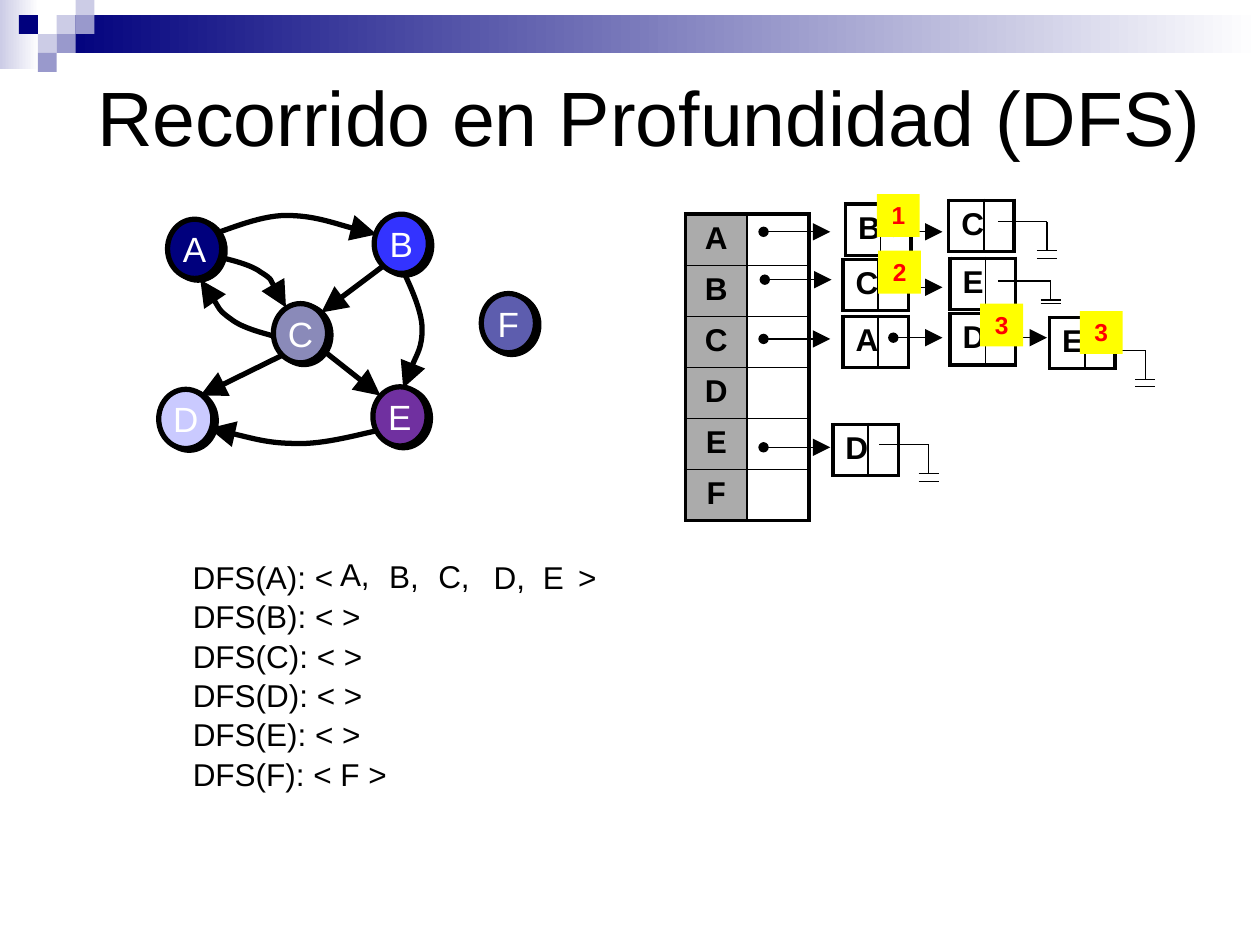
from lxml import etree
from pptx import Presentation
from pptx import util as u
from pptx.dml.color import RGBColor
from pptx.enum import shapes, text
from pptx.oxml.ns import qn

BLACK = RGBColor(0x00, 0x00, 0x00)
WHITE = RGBColor(0xFF, 0xFF, 0xFF)
NAVY = RGBColor(0x00, 0x00, 0x7D)
LILAC = RGBColor(0xCC, 0xCC, 0xE6)
PERIWINKLE = RGBColor(0x99, 0x99, 0xCC)
GRAY = RGBColor(0xAB, 0xAB, 0xAB)
YELLOW = RGBColor(0xFF, 0xFF, 0x00)
RED = RGBColor(0xFF, 0x00, 0x00)
BLUE = RGBColor(0x33, 0x33, 0xFF)
SLATE = RGBColor(0x8A, 0x8A, 0xB9)
PALE = RGBColor(0xCA, 0xCA, 0xFF)
PURPLE = RGBColor(0x70, 0x30, 0xA0)
INDIGO = RGBColor(0x5D, 0x5D, 0xAE)

NODES = [("A", 1.33, 1.74, NAVY), ("B", 2.97, 1.7, BLUE), ("E", 2.96, 3.07, PURPLE),
         ("D", 1.26, 3.09, PALE), ("C", 2.17, 2.41, SLATE), ("F", 3.82, 2.33, INDIGO)]
# Each curve: start, then control, control, end for every segment
CURVES = [
    [(1.68, 1.86), (1.77, 1.84), (2.05, 1.71), (2.27, 1.71), (2.49, 1.71), (2.84, 1.83), (2.99, 1.86)],
    [(1.7, 2.03), (1.77, 2.05), (1.98, 2.09), (2.07, 2.16), (2.17, 2.22), (2.23, 2.38), (2.27, 2.44)],
    [(3.21, 2.17), (3.24, 2.24), (3.35, 2.46), (3.35, 2.61), (3.35, 2.76), (3.23, 2.98), (3.2, 3.08)],
    [(2.99, 3.42), (2.88, 3.44), (2.57, 3.53), (2.35, 3.52), (2.13, 3.52), (1.81, 3.43), (1.66, 3.4)],
    [(2.18, 2.67), (2.12, 2.65), (1.93, 2.61), (1.83, 2.53), (1.73, 2.46), (1.64, 2.28), (1.59, 2.22)],
]
STRAIGHT_EDGES = [(3.03, 2.12, 2.55, 2.48), (2.24, 2.82, 1.59, 3.14), (2.55, 2.77, 3.02, 3.14)]
LIST_CELLS = [("B", 6.71, 1.62), ("C", 7.53, 1.59), ("C", 6.69, 2.06), ("E", 7.54, 2.05),
              ("A", 6.69, 2.51), ("D", 7.54, 2.49), ("D", 6.61, 3.37), ("E", 8.33, 2.52)]
POINTERS = [(6.06, 1.84, 0.53), (7.09, 1.84, 0.39), (6.07, 2.22, 0.53), (7.09, 2.28, 0.39),
            (6.06, 2.69, 0.53), (7.09, 2.68, 0.39), (6.06, 3.55, 0.53), (7.92, 2.68, 0.39)]
VISITS = [("DFS(A): <", 1.43, 4.38, 2.88), ("A,", 2.6, 4.36, 0.59), ("B,", 2.99, 4.37, 0.59),
          ("C,", 3.38, 4.37, 0.59), ("D,", 3.82, 4.38, 0.59), ("E", 4.21, 4.38, 0.59),
          (">", 4.49, 4.38, 0.59)]
MARKS = [("1", 6.96, 1.54), ("2", 6.97, 1.99), ("3", 7.78, 2.41), ("3", 8.57, 2.47)]


def cm(*inches):
    """Lengths on the inch grid of the slide, as centimetres."""
    return [u.Cm(2.54 * v) for v in inches]


def write(p, words, size, color=BLACK, bold=False, align=text.PP_ALIGN.LEFT):
    p.alignment = align
    r = p.add_run()
    r.text = words
    for name, value in {"name": "Arial", "size": u.Pt(size), "bold": bold}.items():
        setattr(r.font, name, value)
    r.font.color.rgb = color


def add_block(s, kind, box, *colors):
    """A shape without outline; two colours make a gradient."""
    sp = s.shapes.add_shape(kind, *cm(*box))
    sp.shadow.inherit = False
    sp.line.fill.background()
    if len(colors) == 2:
        sp.fill.gradient()
        sp.fill.gradient_angle = 0
        for stop, color in zip(sp.fill.gradient_stops, colors):
            stop.color.rgb = color
    else:
        sp.fill.solid()
        sp.fill.fore_color.rgb = colors[0]
    return sp


def style_line(sp, width, head=None, tail=None):
    sp.line.color.rgb = BLACK
    sp.line.width = u.Pt(width)
    ln = sp.line._get_or_add_ln()
    for tag, kind, size in (("a:headEnd", head, "med"), ("a:tailEnd", tail, "lg")):
        if kind:
            etree.SubElement(ln, qn(tag), type=kind, w=size, len=size)


def add_line(s, x1, y1, x2, y2, width=0.75, head=None, tail=None):
    c = s.shapes.add_connector(shapes.MSO_CONNECTOR.STRAIGHT, *cm(x1, y1, x2, y2))
    style_line(c, width, head, tail)
    etree.SubElement(c._element.spPr, qn("a:effectLst"))


def add_curve(s, points):
    start, *rest = [cm(*pt) for pt in points]
    fb = s.shapes.build_freeform(*start)
    fb.add_line_segments(rest, close=False)
    sp = fb.convert_to_shape()
    sp.shadow.inherit = False
    sp.fill.background()
    style_line(sp, 3, tail="triangle")
    # Turn every three straight steps into one cubic curve
    geom = sp._element.find(".//" + qn("a:path"))
    steps = geom.findall(qn("a:lnTo"))
    for i in range(0, len(steps), 3):
        curve = etree.SubElement(geom, qn("a:cubicBezTo"))
        for step in steps[i:i + 3]:
            curve.append(step[0])
            geom.remove(step)


def add_node(s, letter, x, y, fill):
    sp = add_block(s, shapes.MSO_SHAPE.OVAL, (x, y, 0.43, 0.47), fill)
    style_line(sp, 3)
    effects = sp._element.spPr.find(qn("a:effectLst"))
    shadow = etree.SubElement(effects, qn("a:outerShdw"), dist=str(u.Pt(2.2)),
                              dir="1620000", algn="ctr", rotWithShape="0")
    etree.SubElement(shadow, qn("a:srgbClr"), val=str(BLACK))
    tf = sp.text_frame
    tf.word_wrap = False
    tf.vertical_anchor = text.MSO_ANCHOR.MIDDLE
    write(tf.paragraphs[0], letter, 20, WHITE, align=text.PP_ALIGN.CENTER)


def set_borders(cell, widths):
    tcPr = cell._tc.get_or_add_tcPr()
    for i, (side, width) in enumerate(zip("LRTB", widths)):
        ln = etree.Element(qn("a:ln" + side), w=str(u.Pt(width)))
        fill = etree.SubElement(ln, qn("a:solidFill"))
        etree.SubElement(fill, qn("a:srgbClr"), val=str(BLACK))
        tcPr.insert(i, ln)


def add_cells(s, letters, x, y, widths, fills=None):
    """Two columns: a letter and a pointer; thick frame, thin lines inside."""
    n = len(letters)
    tbl = s.shapes.add_table(n, 2, *cm(x, y, sum(widths), 0.4 * n)).table
    tbl.first_row = tbl.horz_banding = False
    for col, width in zip(tbl.columns, cm(*widths)):
        col.width = width
    for i, letter in enumerate(letters):
        write(tbl.cell(i, 0).text_frame.paragraphs[0], letter, 18, bold=True,
              align=text.PP_ALIGN.CENTER)
        for j in range(2):
            cell = tbl.cell(i, j)
            if fills:
                cell.fill.solid()
                cell.fill.fore_color.rgb = fills[j]
            else:
                cell.fill.background()
            outer = (j == 0, j == 1, i == 0, i == n - 1)
            set_borders(cell, [2.25 if edge else 1 for edge in outer])


def add_ground(s, x, y, w=0.39, drop=0.23, gap=0.06):
    end, low = x + w, y + drop
    add_line(s, x, y, end, y)
    add_line(s, end, y, end, low)
    for bar in (low, low + gap):
        add_line(s, end - 0.08, bar, end + 0.08, bar)


def add_text(s, words, x, y, w):
    tf = s.shapes.add_textbox(*cm(x, y, w, 0.4)).text_frame
    tf.word_wrap = True
    write(tf.paragraphs[0], words, 18)


def place(sp, box, anchor):
    for name, value in zip(("left", "top", "width", "height"), cm(*box)):
        setattr(sp, name, value)
    tf = sp.text_frame
    for name, value in {"word_wrap": True, "auto_size": text.MSO_AUTO_SIZE.NONE,
                        "vertical_anchor": anchor}.items():
        setattr(tf, name, value)
    return tf


def add_banner(s):
    rect = shapes.MSO_SHAPE.RECTANGLE
    add_block(s, rect, (0, -0.03, 0.31, 0.58), LILAC, WHITE)
    add_block(s, rect, (0.45, 0.12, 9.55, 0.3), NAVY, WHITE)
    for col, row, color in [(3, 1, LILAC), (4, 0, LILAC), (4, 1, PERIWINKLE), (2, 2, LILAC),
                            (1, 1, NAVY), (3, 2, PERIWINKLE), (2, 3, PERIWINKLE)]:
        add_block(s, rect, (0.15 * col, 0.15 * row - 0.03, 0.15, 0.15), color)


def main():
    prs = Presentation()
    prs.slide_width, prs.slide_height = cm(10, 7.5)
    s = prs.slides.add_slide(prs.slide_layouts[1])
    add_banner(s)

    # Title and list of traversals
    tf = place(s.shapes.title, (0.67, 0.17, 9, 1.5), text.MSO_ANCHOR.MIDDLE)
    write(tf.paragraphs[0], "Recorrido en Profundidad (DFS)", 44)
    tf = place(s.placeholders[1], (1.43, 4.69, 2.88, 1.92), text.MSO_ANCHOR.TOP)
    for i, (start, visited) in enumerate(zip("BCDEF", ["", "", "", "", "F "])):
        p = tf.paragraphs[0] if i == 0 else tf.add_paragraph()
        p.space_before, p.space_after = u.Pt(0), u.Pt(0.9)
        pPr = p._p.get_or_add_pPr()
        pPr.set("marL", "0")
        pPr.set("indent", "0")
        etree.SubElement(pPr, qn("a:buNone"))
        write(p, f"DFS({start}): < {visited}>", 18)

    # Graph
    for points in CURVES:
        add_curve(s, points)
    for node in NODES:
        add_node(s, *node)
    for edge in STRAIGHT_EDGES:
        add_line(s, *edge, width=3, tail="triangle")

    # Adjacency lists
    add_cells(s, "ABCDEF", 5.44, 1.7, (0.49, 0.49), (GRAY, WHITE))
    for letter, x, y in LIST_CELLS:
        add_cells(s, letter, x, y, (0.28, 0.23))
    for x, y, w in POINTERS:
        add_line(s, x, y, x + w, y, head="oval", tail="triangle")
    add_ground(s, 7.92, 1.76)
    add_ground(s, 7.92, 2.23, w=0.42, drop=0.15, gap=0.03)
    add_ground(s, 8.7, 2.78)
    add_ground(s, 6.98, 3.53)

    # Visit order and its marks
    for visit in VISITS:
        add_text(s, *visit)
    for number, x, y in MARKS:
        sp = add_block(s, shapes.MSO_SHAPE.RECTANGLE, (x, y, 0.34, 0.34), YELLOW)
        sp.text_frame.vertical_anchor = text.MSO_ANCHOR.TOP
        write(sp.text_frame.paragraphs[0], number, 14, RED, True, text.PP_ALIGN.CENTER)

    prs.save("out.pptx")


if __name__ == "__main__":
    main()
